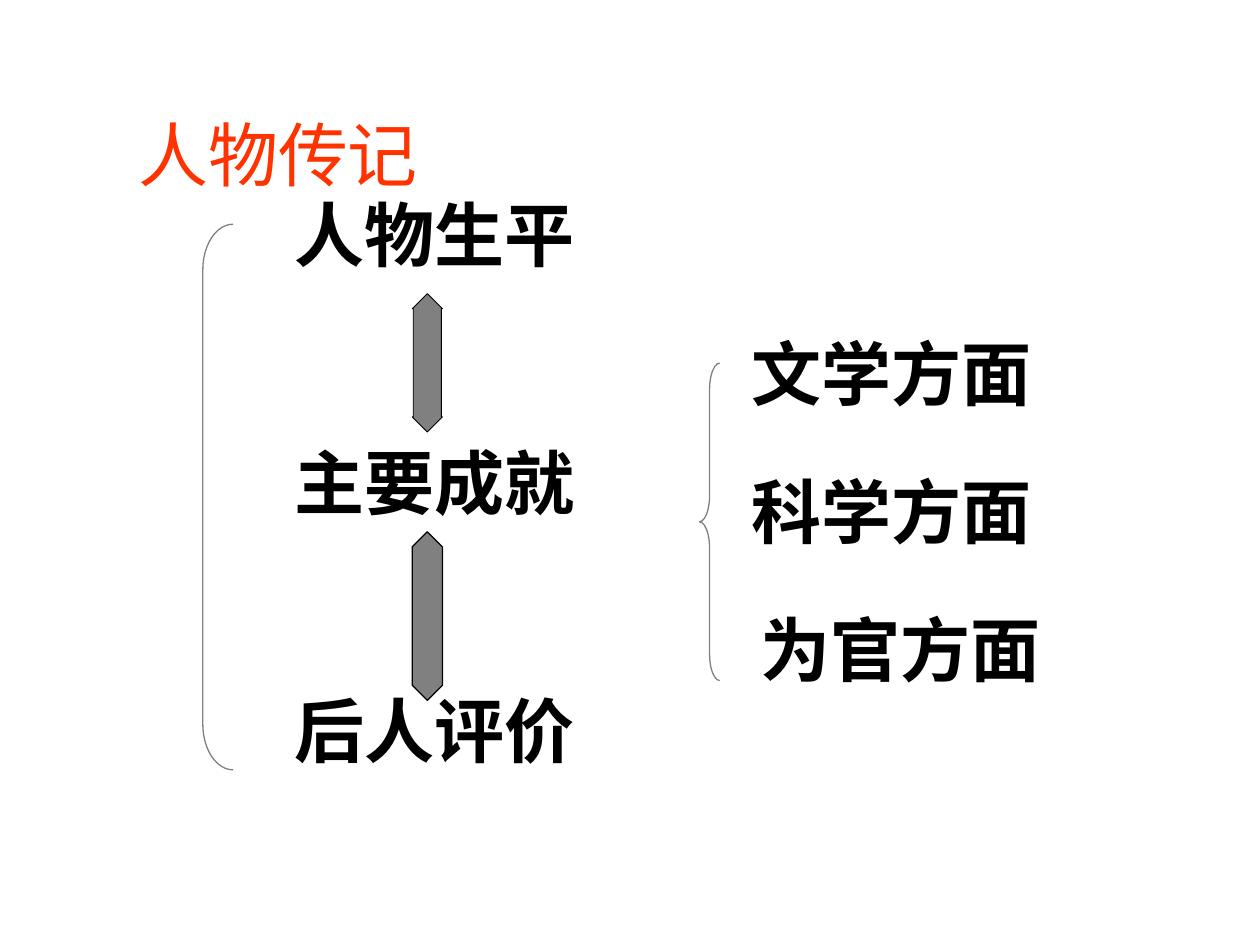
from pptx import Presentation
from pptx.dml.color import RGBColor
from pptx.enum import shapes, text
from pptx.util import Cm, Pt

KIND = shapes.MSO_SHAPE


def color(code):
    return RGBColor.from_string(code)


def label(slide, words, x, y, w, ink="000000", bold=True, align=text.PP_ALIGN.LEFT):
    frame = slide.shapes.add_textbox(Cm(x), Cm(y), Cm(w), Cm(1.96)).text_frame
    frame.word_wrap = True
    frame.text = words
    line = frame.paragraphs[0]
    line.alignment = align
    font = line.runs[0].font
    font.name = "Arial"
    font.size = Pt(40)
    font.bold = bold
    font.color.rgb = color(ink)


def figure(slide, kind, x, y, w, h, values, ink, width, fill=None):
    shape = slide.shapes.add_shape(kind, Cm(x), Cm(y), Cm(w), Cm(h))
    shape.shadow.inherit = False
    for i, value in enumerate(values):
        shape.adjustments[i] = value
    if fill:
        shape.fill.solid()
        shape.fill.fore_color.rgb = color(fill)
    else:
        shape.fill.background()
    shape.line.color.rgb = color(ink)
    shape.line.width = Pt(width)


def title(slide, x, y, w):
    label(slide, "人物传记", x, y, w, "FF3300", False, text.PP_ALIGN.CENTER)


def story(slide, x, y, step):
    figure(slide, KIND.LEFT_BRACKET, x, y + 0.79, 0.61, 11, [1.5], "808080", 0.75)
    parts = [("人物生平", 7.21), ("主要成就", 7.59), ("后人评价", 8.41)]
    for i, (words, w) in enumerate(parts):
        label(slide, words, x + 1.6, y + i * step, w)
    arrows = [(2.19, 2.79, 0.93, 0.5), (6.99, 3.4, 1.13, 0.75)]
    for top, h, head, width in arrows:
        figure(slide, KIND.UP_DOWN_ARROW, x + 4.22, y + top, 0.61, h,
               [0.5, head], "000000", width, "808080")


def fields(slide, x, y, step):
    figure(slide, KIND.LEFT_BRACE, x, y + 0.79, 0.41, 6.4, [1.31, 0.5], "808080", 0.75)
    parts = [("文学方面", 0.81, 7.21), ("科学方面", 0.81, 6.81), ("为官方面", 0.99, 7.59)]
    for i, (words, left, w) in enumerate(parts):
        label(slide, words, x + left, y + i * step, w)


def main():
    deck = Presentation()
    deck.slide_width, deck.slide_height = Cm(25.4), Cm(19.05)
    slide = deck.slides.add_slide(deck.slide_layouts[6])
    title(slide, 2.29, 2.13, 6.63)
    story(slide, 4.09, 3.73, 5)
    fields(slide, 14.1, 6.53, 2.79)
    deck.save("out.pptx")


if __name__ == "__main__":
    main()
